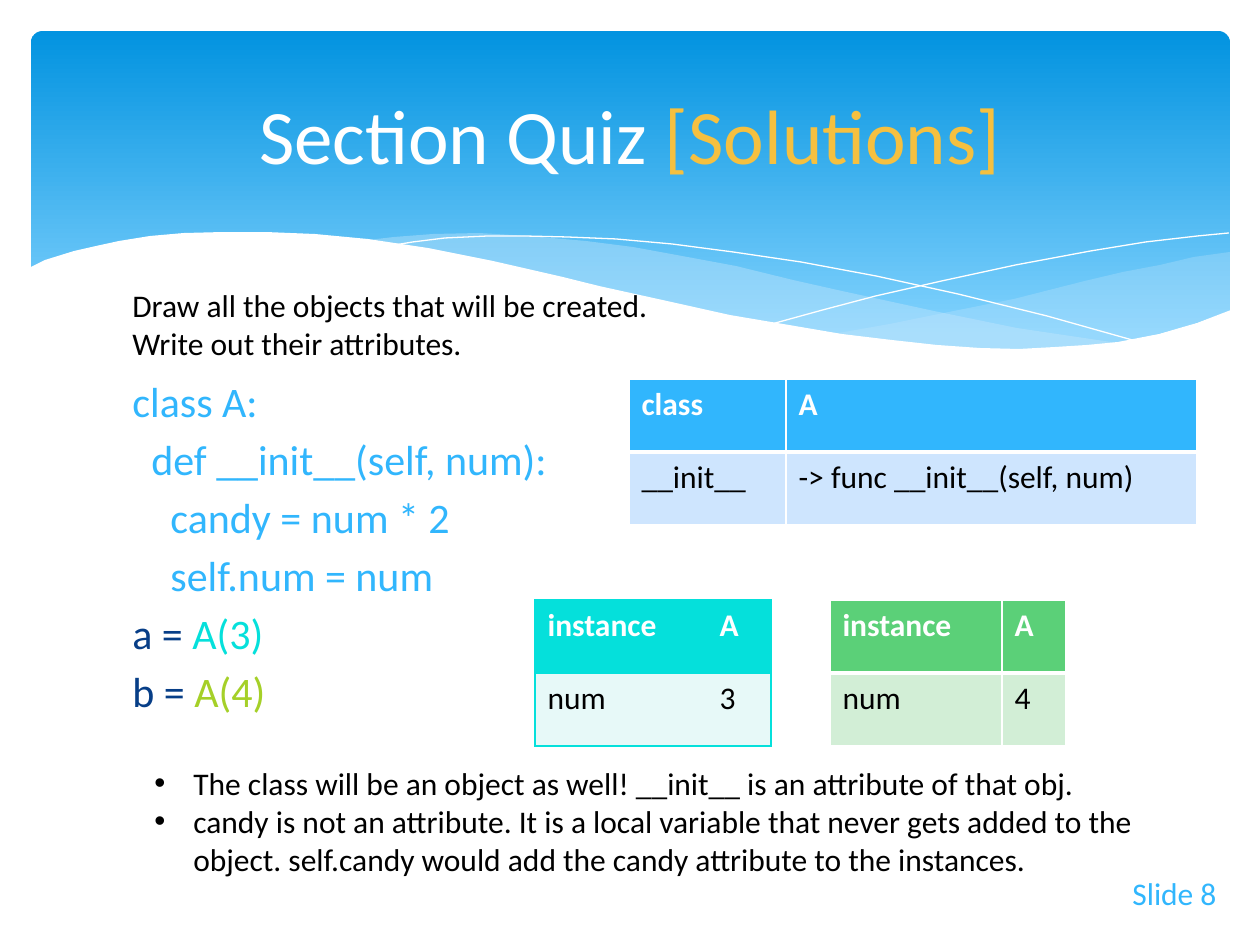
from lxml.etree import SubElement
from pptx import Presentation
from pptx.dml.color import RGBColor
from pptx.enum.shapes import MSO_SHAPE
from pptx.enum.text import MSO_ANCHOR, PP_ALIGN
from pptx.oxml import parse_xml
from pptx.oxml.ns import nsdecls, qn
from pptx.util import Pt

PX = 914400 // 126
FONT = "Calibri"
WHITE, BLACK, BLUE, NAVY = "FFFFFF", "000000", "31B6FD", "073E87"
CYAN, GREEN, LIME, GOLD = "05E0DB", "5BD078", "A5D028", "F5C040"
rgb = RGBColor.from_string

prs = Presentation()
prs.slide_width, prs.slide_height = 1260 * PX, 945 * PX
s = prs.slides.add_slide(prs.slide_layouts[6])


def add_text(tf, paras, size=18, color=BLACK, bold=False, align=PP_ALIGN.LEFT,
             before=0, anchor=MSO_ANCHOR.TOP, bullet=None):
    """Fill a frame; each paragraph is (left indent, [(text, color or None), ...])."""
    tf.word_wrap = True
    tf.vertical_anchor = anchor
    for i, (indent, runs) in enumerate(paras):
        p = tf.paragraphs[0] if i == 0 else tf.add_paragraph()
        p.alignment = align
        p.space_before = Pt(before)
        pPr = p._p.get_or_add_pPr()
        pPr.set("marL", str(indent * PX))
        if bullet:
            pPr.set("indent", str(-indent * PX))
            SubElement(pPr, qn("a:buFont"), typeface="Arial")
            SubElement(pPr, qn("a:buChar"), char=bullet)
        for text, run_color in runs:
            r = p.add_run()
            r.text = text
            r.font.name, r.font.size, r.font.bold = FONT, Pt(size), bold
            r.font.color.rgb = rgb(run_color or color)


def add_curve(points, fill=None, alpha=100, line=None):
    """Draw a closed filled shape, or an open hairline when only line is given."""
    fb = s.shapes.build_freeform(*points[0], scale=PX)
    fb.add_line_segments(points[1:], close=fill is not None)
    sp = fb.convert_to_shape()
    sp.shadow.inherit = False
    if fill:
        sp.fill.solid()
        sp.fill.fore_color.rgb = rgb(fill)
        clr = sp.fill._xPr.find(qn("a:solidFill"))[0]
        SubElement(clr, qn("a:alpha"), val=str(alpha * 1000))
        sp.line.fill.background()
    else:
        sp.fill.background()
        sp.line.color.rgb = rgb(line)
        sp.line.width = 0


# Banner
banner = s.shapes.add_shape(MSO_SHAPE.ROUNDED_RECTANGLE, 31 * PX, 31 * PX, 1199 * PX, 340 * PX)
banner.adjustments[0] = 0.034
banner.shadow.inherit = False
banner.line.fill.background()
banner.fill.gradient()
banner.fill.gradient_angle = 270
for stop, color, pos in zip(banner.fill.gradient_stops, ("0293E0", "83D3FE"), (0, 0.9)):
    stop.color.rgb = rgb(color)
    stop.position = pos

# Waves over the banner
right_wave = [
    (1230, 252), (1194, 257), (1160, 265), (1123, 272), (1085, 281), (1014, 299),
    (949, 312), (890, 324), (833, 334), (888, 341), (939, 346), (1012, 350),
    (1063, 349), (1110, 344), (1150, 336), (1187, 326), (1230, 311)]
middle_wave = [
    (1125, 344), (1091, 339), (1017, 328), (934, 311), (842, 291), (793, 280),
    (736, 266), (682, 256), (633, 247), (586, 241), (529, 236), (479, 233),
    (433, 234), (394, 237), (360, 241), (407, 247), (456, 256), (509, 266),
    (566, 280), (668, 302), (757, 321), (819, 333), (876, 340), (927, 346),
    (989, 350), (1043, 350), (1092, 348)]
falling_line = [
    (389, 246), (413, 242), (445, 238), (488, 236), (524, 236), (567, 237),
    (616, 239), (672, 244), (733, 252), (801, 262), (876, 276), (958, 294),
    (1047, 316), (1143, 343)]
rising_line = [
    (772, 324), (823, 310), (876, 296), (942, 281), (1016, 265), (1091, 251),
    (1146, 242), (1198, 236), (1229, 233)]
white_wave = [
    (1231, 310), (1197, 323), (1159, 334), (1118, 342), (1087, 345), (1055, 347),
    (1019, 349), (980, 348), (937, 345), (892, 340), (842, 334), (789, 325),
    (730, 315), (667, 301), (599, 286), (563, 277), (493, 261), (428, 248),
    (368, 239), (315, 234), (266, 232), (223, 232), (184, 233), (150, 236),
    (119, 241), (96, 246), (74, 251), (58, 256), (45, 260), (29, 268),
    (29, 415), (1231, 415)]
add_curve(right_wave, fill="C6E7FC", alpha=29)
add_curve(middle_wave, fill="C6E7FC", alpha=40)
add_curve(falling_line, line=WHITE)
add_curve(rising_line, line=WHITE)
add_curve(white_wave, fill=WHITE)

# Text blocks: box, paragraphs, format
code = [
    (0, [("class A:", None)]),
    (19, [("def __init__(self, num):", None)]),
    (38, [("candy = num * 2", None)]),
    (38, [("self.num = num", None)]),
    (0, [("a = ", NAVY), ("A(3)", CYAN)]),
    (0, [("b = ", NAVY), ("A(4)", LIME)])]
task = [
    (0, [("Draw all the objects that will be created.", None)]),
    (0, [("Write out their attributes.", None)])]
notes = [
    (39, [("The class will be an object as well! __init__ is an attribute of that obj.", None)]),
    (39, [("candy is not an attribute. It is a local variable that never gets added to the "
           "object. self.candy would add the candy attribute to the instances.", None)])]
title = [(0, [("Section Quiz ", WHITE), ("[Solutions]", GOLD)])]
blocks = [
    ((63, 47, 1134, 173), title, dict(size=44, align=PP_ALIGN.CENTER, anchor=MSO_ANCHOR.MIDDLE)),
    ((1032, 868, 197, 50), [(0, [("Slide 8", BLUE)])], dict(align=PP_ALIGN.RIGHT)),
    ((120, 369, 509, 475), code, dict(size=24, color=BLUE, before=4.4)),
    ((120, 280, 650, 89), task, {}),
    ((142, 758, 1011, 127), notes, dict(bullet="•"))]
for box, paras, fmt in blocks:
    tb = s.shapes.add_textbox(*(v * PX for v in box))
    add_text(tb.text_frame, paras, **fmt)

# Tables: position, column widths, rows, header fill, body fill, outlined only
tables = [
    (629, 379, (157, 411), [("class", "A"), ("__init__", "-> func __init__(self, num)")],
     BLUE, "CEE5FE", False),
    (535, 600, (172, 64), [("instance", "A"), ("num", "3")], CYAN, "E7F9F8", True),
    (830, 600, (172, 64), [("instance", "A"), ("num", "4")], GREEN, "D2EED6", False)]
for x, y, widths, rows, head, body, outlined in tables:
    tbl = s.shapes.add_table(2, 2, x * PX, y * PX, sum(widths) * PX, 146 * PX).table
    for col, width in zip(tbl.columns, widths):
        col.width = width * PX
    for i, row in enumerate(rows):
        for j, text in enumerate(row):
            cell = tbl.cell(i, j)
            add_text(cell.text_frame, [(0, [(text, None)])], bold=i == 0,
                     color=BLACK if i else WHITE)
            # Borders: an outline with a header rule, or a white grid
            hidden = {"L": j == 1, "R": j == 0}
            for side in "LRTB":
                at_rule = side == ("T" if i else "B")
                width = 3 if at_rule and not outlined else 1
                if outlined and hidden.get(side):
                    paint = "<a:noFill/>"
                else:
                    paint = (f'<a:solidFill><a:srgbClr val="{head if outlined else WHITE}"/>'
                             "</a:solidFill>")
                cell._tc.get_or_add_tcPr().append(parse_xml(
                    f'<a:ln{side} {nsdecls("a")} w="{Pt(width)}">{paint}</a:ln{side}>'))
            cell.fill.solid()
            cell.fill.fore_color.rgb = rgb(body if i else head)

prs.save("out.pptx")
